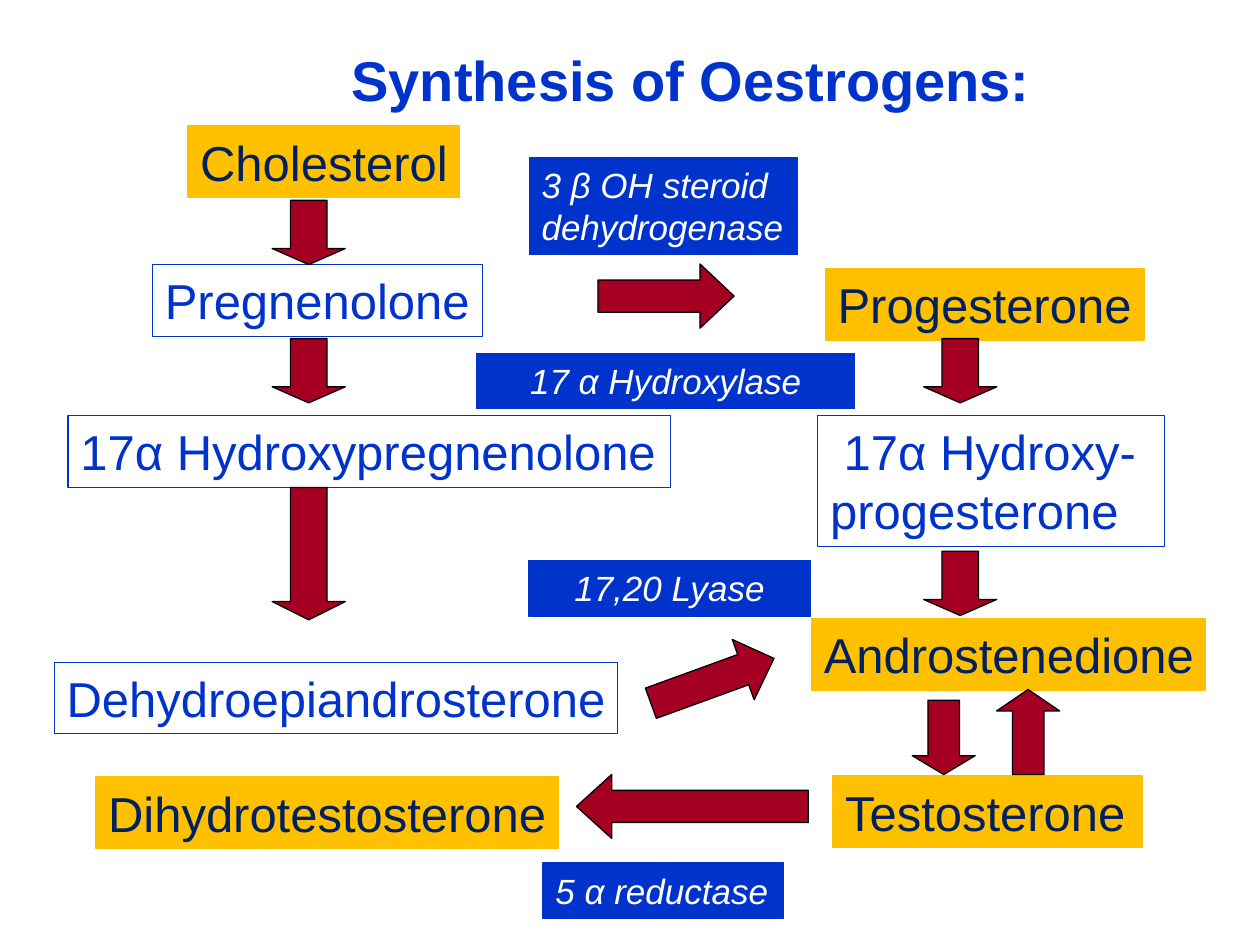
from pptx import Presentation
from pptx.dml.color import RGBColor
from pptx.enum.shapes import MSO_SHAPE as SHAPE
from pptx.enum.text import MSO_ANCHOR as ANCHOR, PP_ALIGN as ALIGN
from pptx.util import Pt

BLUE, NAVY, GOLD, RED = "0033CC", "002060", "FFC000", "A50021"
BLACK, WHITE = "000000", "FFFFFF"


def rgb(value):
    return RGBColor.from_string(value)


def write(tf, text, size=28, color=NAVY, bold=False, italic=False,
          align=ALIGN.LEFT, anchor=ANCHOR.TOP, wrap=False):
    """Fill a text frame, one paragraph for each line of text."""
    tf.word_wrap = wrap
    tf.vertical_anchor = anchor
    tf.margin_left = tf.margin_right = Pt(7.2)
    tf.margin_top = tf.margin_bottom = Pt(3.6)
    for i, line in enumerate(text.split("\n")):
        p = tf.add_paragraph() if i else tf.paragraphs[0]
        p.alignment = align
        r = p.add_run()
        r.text = line
        r.font.name, r.font.size = "Arial", Pt(size)
        r.font.bold, r.font.italic = bold, italic
        r.font.color.rgb = rgb(color)


class Pathway:
    """Style and current slide of the synthesis diagram."""

    def __init__(self, prs):
        self.s = prs.slides.add_slide(prs.slide_layouts[5])

    def title(self, text, x, y, w, h):
        sp = self.s.shapes.title
        sp.left, sp.top, sp.width, sp.height = Pt(x), Pt(y), Pt(w), Pt(h)
        write(sp.text_frame, text, size=32, color=BLUE, bold=True)

    def shape(self, kind, x, y, w, h, fill, line):
        sp = self.s.shapes.add_shape(kind, Pt(x), Pt(y), Pt(w), Pt(h))
        sp.shadow.inherit = False
        if fill:
            sp.fill.solid()
            sp.fill.fore_color.rgb = rgb(fill)
        else:
            sp.fill.background()
        sp.line.color.rgb = rgb(line)
        sp.line.width = Pt(0.75)
        return sp

    def hormone(self, text, x, y, w):
        sp = self.shape(SHAPE.RECTANGLE, x, y, w, 41, GOLD, GOLD)
        write(sp.text_frame, text, wrap=text == "Testosterone")

    def precursor(self, text, x, y, w, h=41, wrap=False):
        sp = self.shape(SHAPE.RECTANGLE, x, y, w, h, None, BLUE)
        write(sp.text_frame, text, color=BLUE, wrap=wrap)

    def enzyme(self, text, x, y, w, h=31.7, align=ALIGN.LEFT):
        sp = self.shape(SHAPE.RECTANGLE, x, y, w, h, BLUE, BLUE)
        write(sp.text_frame, text, size=20, color=WHITE, italic=True, align=align)

    def arrow(self, x, y, w, h, head=0.25, turn=0):
        sp = self.shape(SHAPE.DOWN_ARROW, x, y, w, h, RED, BLACK)
        sp.adjustments[0], sp.adjustments[1] = 0.5, head
        sp.rotation = turn


def main():
    prs = Presentation()
    prs.slide_width, prs.slide_height = Pt(720), Pt(540)
    d = Pathway(prs)
    d.title("Synthesis of Oestrogens: 1", 193.7, 22.3, 429.1, 46.1)

    # Steroids
    for text, x, y, w in [
        ("Cholesterol", 107.3, 72, 155.5),
        ("Progesterone", 471.6, 153.4, 182.2),
        ("Androstenedione", 463.7, 353.5, 225.4),
        ("Testosterone", 475.9, 443.5, 177.1),
        ("Dihydrotestosterone", 54.7, 444, 264.2),
    ]:
        d.hormone(text, x, y, w)
    d.precursor("Pregnenolone", 87.1, 151.2, 188.6)
    d.precursor("17α Hydroxypregnenolone", 38.9, 237.6, 344.2)
    d.precursor(" 17α Hydroxy-progesterone", 467.3, 237.6, 198, 74.9, wrap=True)
    d.precursor("Dehydroepiandrosterone", 31, 378.4, 321.8)

    # Arrows down the left and right columns
    for x, y, h in [(155.5, 114.5, 36.7), (155.5, 193.5, 36.7),
                    (155.5, 278.6, 75.6), (527.8, 193.5, 36.7),
                    (527.8, 315, 36.7)]:
        d.arrow(x, y, 41.8, h)

    # Reversible step between androstenedione and testosterone
    d.arrow(521.3, 400.1, 36, 42.5, head=0.3)
    d.arrow(569.5, 394, 36, 48.6, head=0.34, turn=180)

    # Arrows between the columns
    d.arrow(377.3, 394.6, 36.7, 132.5, head=0.55, turn=90)
    d.arrow(388.8, 351.6, 36.7, 74.9, head=0.51, turn=250)
    d.arrow(362.2, 130.3, 36.7, 77.8, head=0.53, turn=270)

    # Enzymes
    d.enzyme("3 β OH steroid\ndehydrogenase", 302.4, 90, 153.4, 55.4)
    d.enzyme("17 α Hydroxylase", 272.5, 202, 216, align=ALIGN.CENTER)
    d.enzyme("17,20 Lyase", 302.1, 320.3, 161, align=ALIGN.CENTER)
    d.enzyme("5 α reductase", 310.3, 493.2, 137.5)

    prs.save("out.pptx")


if __name__ == "__main__":
    main()
